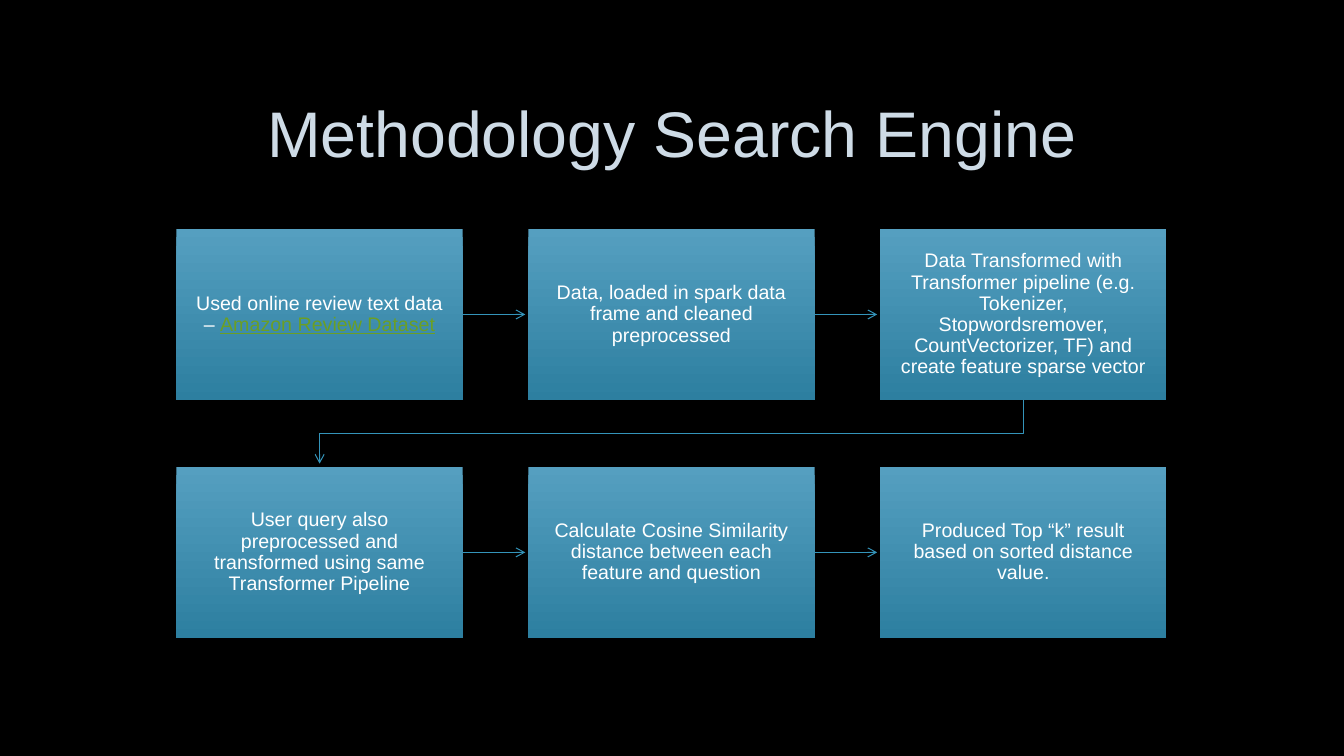
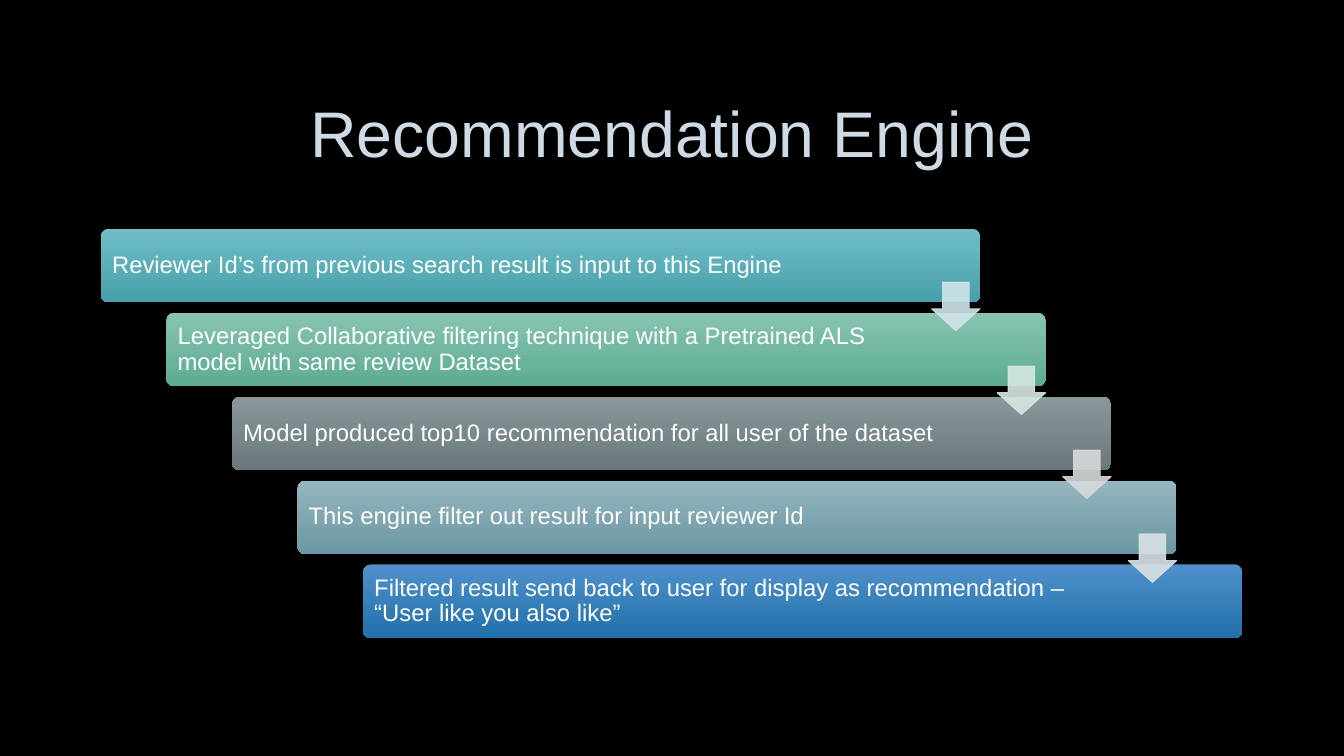
from lxml.etree import SubElement
from pptx import Presentation
from pptx.dml.color import RGBColor
from pptx.enum.shapes import MSO_CONNECTOR, MSO_SHAPE
from pptx.enum.text import MSO_ANCHOR, PP_ALIGN
from pptx.oxml.ns import qn
from pptx.util import Inches, Pt


def rgb(code):
    """Turn a hex string into a colour."""
    return RGBColor.from_string(code)


class Deck:
    """Shared style and the slide being filled."""

    FONT = "Arial"
    BACKGROUND = "000000"
    TITLE = "CEDBE6"
    TEXT = "FFFFFF"
    LINK = "6B9F25"
    FLOW = "3494BA"
    LINE_WIDTH = Pt(0.75)

    def __init__(self):
        """Start an empty wide presentation."""
        self.presentation = Presentation()
        self.presentation.slide_width = Inches(13.33)
        self.presentation.slide_height = Inches(7.5)
        self.slide = None

    def new_slide(self, title):
        """Start a dark slide with its centred title."""
        self.slide = self.presentation.slides.add_slide(self.presentation.slide_layouts[6])
        background = self.slide.background.fill
        background.solid()
        background.fore_color.rgb = rgb(self.BACKGROUND)
        heading = self.slide.shapes.add_textbox(
            Inches(1), Inches(0.67), Inches(11.32), Inches(1.38))
        self.label(heading, title, 46, self.TITLE, PP_ALIGN.CENTER, (0.1, 0.05, 0.1, 0.05))

    def label(self, shape, text, size, colour, align, insets, link=""):
        """Put one paragraph, with an optional link-styled ending, in a shape."""
        frame = shape.text_frame
        frame.word_wrap = True
        frame.vertical_anchor = MSO_ANCHOR.MIDDLE
        (frame.margin_left, frame.margin_top,
         frame.margin_right, frame.margin_bottom) = map(Inches, insets)
        paragraph = frame.paragraphs[0]
        paragraph.alignment = align
        paragraph.line_spacing = 0.9
        paragraph.font.name = self.FONT
        paragraph.font.size = Pt(size)
        paragraph.font.color.rgb = rgb(colour)
        paragraph.add_run().text = text
        if link:
            ending = paragraph.add_run()
            ending.text = link
            ending.font.underline = True
            ending.font.color.rgb = rgb(self.LINK)

    def panel(self, kind, left, top, width, height, gradient):
        """Add a borderless shape shaded from top to bottom."""
        shape = self.slide.shapes.add_shape(
            kind, Inches(left), Inches(top), Inches(width), Inches(height))
        shape.shadow.inherit = False
        shape.line.fill.background()
        shape.fill.gradient()
        shape.fill.gradient_angle = 270
        for stop, colour in zip(shape.fill.gradient_stops, gradient):
            stop.color.rgb = rgb(colour)
        return shape

    def stage(self, left, top, width, height, text, link=""):
        """Add one box of the process flow."""
        box = self.panel(MSO_SHAPE.RECTANGLE, left, top, width, height, ("559FC0", "2D7FA0"))
        self.label(box, text, 14, self.TEXT, PP_ALIGN.CENTER, (0.14, 0.15, 0.14, 0.15), link)
        return box

    def step(self, left, top, width, height, text, gradient):
        """Add one bar of the staircase."""
        bar = self.panel(MSO_SHAPE.ROUNDED_RECTANGLE, left, top, width, height, gradient)
        bar.adjustments[0] = 0.1
        self.label(bar, text, 17, self.TEXT, PP_ALIGN.LEFT, (0.09, 0.09, 1.22, 0.09))

    def style_flow(self, flow):
        """Give a flow line its colour, width and arrowhead."""
        flow.line.color.rgb = rgb(self.FLOW)
        flow.line.width = self.LINE_WIDTH
        outline = flow._element.spPr.find(qn("a:ln"))
        SubElement(outline, qn("a:tailEnd"), type="arrow")

    def flow_right(self, source, target, gap):
        """Draw an arrow from one box to just before the next."""
        middle = source.top + source.height // 2
        flow = self.slide.shapes.add_connector(
            MSO_CONNECTOR.STRAIGHT, source.left + source.width, middle,
            target.left - gap, middle)
        flow.begin_connect(source, 3)
        self.style_flow(flow)
        SubElement(flow._element.spPr, qn("a:effectLst"))

    def flow_back(self, source, target, gap):
        """Draw a bent arrow from a row's last box to the next row's first."""
        start_x = source.left + source.width // 2
        start_y = source.top + source.height
        end_x = target.left + target.width // 2
        turn_y = (start_y + target.top) // 2
        outline = self.slide.shapes.build_freeform(start_x, start_y)
        outline.add_line_segments(
            [(start_x, turn_y), (end_x, turn_y), (end_x, target.top - gap)], close=False)
        flow = outline.convert_to_shape()
        flow.shadow.inherit = False
        flow.fill.background()
        self.style_flow(flow)

    def down_arrow(self, left, top, size, colour):
        """Add a slightly transparent arrow between two bars."""
        arrow = self.slide.shapes.add_shape(
            MSO_SHAPE.DOWN_ARROW, Inches(left), Inches(top), Inches(size), Inches(size))
        arrow.shadow.inherit = False
        arrow.adjustments[0] = 0.55
        arrow.adjustments[1] = 0.45
        arrow.fill.solid()
        arrow.fill.fore_color.rgb = rgb(colour)
        arrow.line.color.rgb = rgb(colour)
        arrow.line.width = self.LINE_WIDTH
        for tint in arrow._element.spPr.iter(qn("a:srgbClr")):
            SubElement(tint, qn("a:alpha"), val="90000")


STAGES = [
    ("Used online review text data – ", "Amazon Review Dataset"),
    ("Data, loaded in spark data frame and cleaned preprocessed", ""),
    ("Data Transformed with Transformer pipeline (e.g. Tokenizer, Stopwordsremover, "
     "CountVectorizer, TF) and create feature sparse vector", ""),
    ("User query also preprocessed and transformed using same Transformer Pipeline", ""),
    ("Calculate Cosine Similarity distance between each feature and question", ""),
    ("Produced Top “k” result based on sorted distance value.", ""),
]

STEPS = [
    ("Reviewer Id’s from previous search result is input to this Engine",
     ("6FBEC6", "47A0AA")),
    ("Leveraged Collaborative filtering technique with a Pretrained ALS model "
     "with same review Dataset", ("87C4B1", "5DAB93")),
    ("Model produced top10 recommendation for all user of the dataset",
     ("89989A", "69787A")),
    ("This engine filter out result for input reviewer Id", ("94B6BF", "6C97A2")),
    ("Filtered result send back to user for display as recommendation – "
     "“User like you also like”", ("4F90CB", "2171AA")),
]

ARROW_COLOURS = ["D1E5E8", "D6E8E1", "D7DADB", "D9E3E5"]


def search_engine(deck):
    """Build the slide with the two-row process flow."""
    deck.new_slide("Methodology Search Engine")
    columns = 3
    gap = Inches(0.03)
    boxes = []
    for index, (text, link) in enumerate(STAGES):
        row, column = divmod(index, columns)
        boxes.append(deck.stage(
            1.75 + 3.49 * column, 2.27 + 2.36 * row, 2.84, 1.7, text, link))
    for index, (source, target) in enumerate(zip(boxes, boxes[1:]), 1):
        connect = deck.flow_right if index % columns else deck.flow_back
        connect(source, target, gap)


def recommendation_engine(deck):
    """Build the slide with the staircase of steps."""
    deck.new_slide("Recommendation Engine")
    places = [(1 + 0.65 * index, 2.27 + 3.33 / 4 * index) for index in range(len(STEPS))]
    for (left, top), (text, gradient) in zip(places, STEPS):
        deck.step(left, top, 8.72, 0.73, text, gradient)
    for (left, top), colour in zip(places, ARROW_COLOURS):
        deck.down_arrow(left + 8.24, top + 0.53, 0.48, colour)


def main():
    """Build and save both slides."""
    deck = Deck()
    search_engine(deck)
    recommendation_engine(deck)
    deck.presentation.save("out.pptx")


if __name__ == "__main__":
    main()
